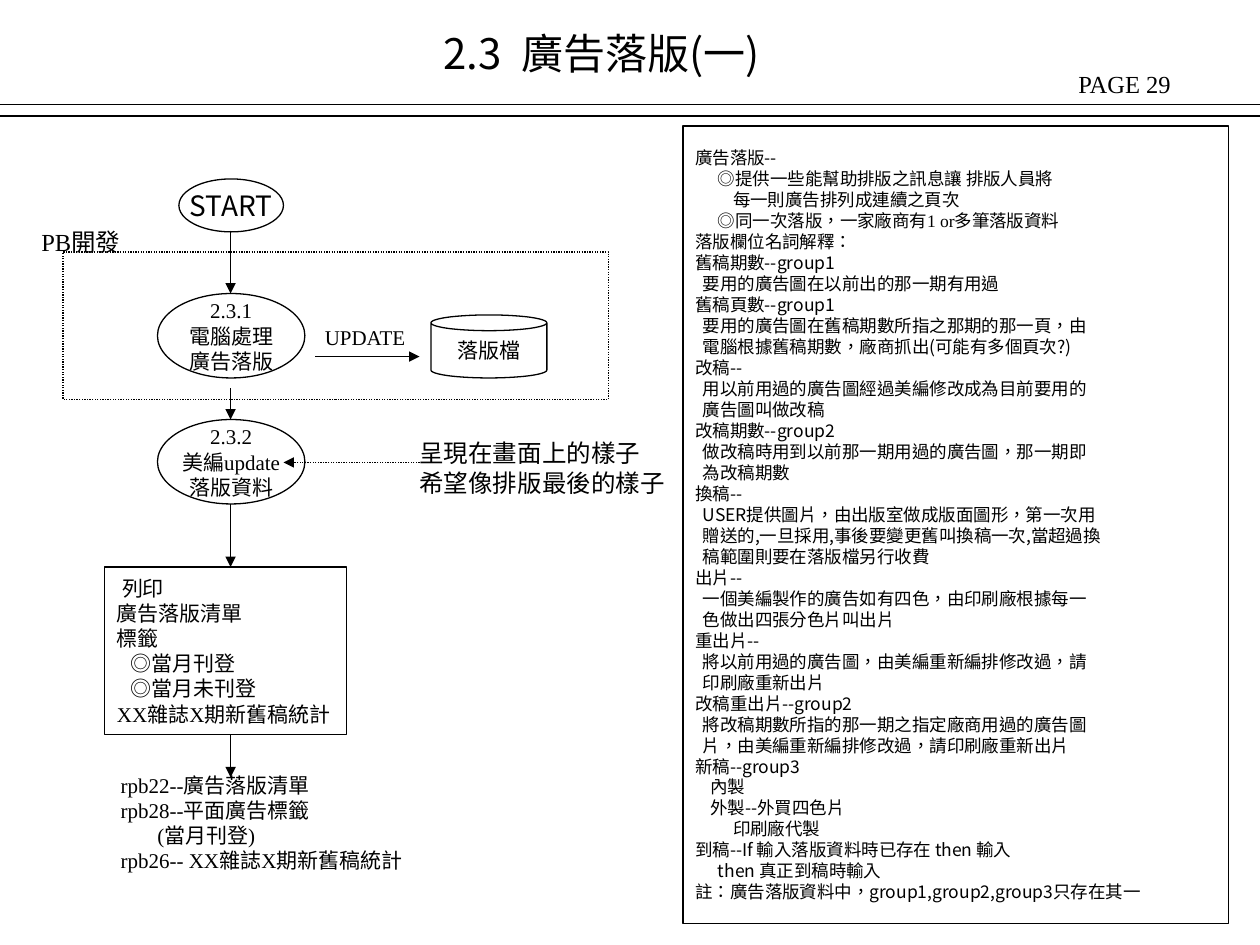
from lxml import etree
from pptx import Presentation
from pptx.dml.color import RGBColor
from pptx.enum.dml import MSO_LINE
from pptx.enum.shapes import MSO_CONNECTOR, MSO_SHAPE
from pptx.enum.text import MSO_ANCHOR, MSO_AUTO_SIZE, PP_ALIGN
from pptx.oxml.ns import qn
from pptx.util import Inches, Pt

SERIF, SANS = "Times New Roman", "Noto Sans CJK TC"
INK = RGBColor.from_string("000000")


def write(shape, lines, size, font=SERIF, align=PP_ALIGN.LEFT):
    """Each line is (indent in inches, text) or (indent, [(text, font), ...])."""
    frame = shape.text_frame
    frame.word_wrap = False
    for i, (indent, content) in enumerate(lines):
        para = frame.paragraphs[0] if i == 0 else frame.add_paragraph()
        para.alignment = align
        para.line_spacing = Pt(size * 1.2)
        ppr = para._p.get_or_add_pPr()
        ppr.set("marL", str(Inches(indent)))
        ppr.set("indent", "0")
        runs = [(content, font)] if isinstance(content, str) else content
        for text, face in runs:
            run = para.add_run()
            run.text = text
            run.font.size = Pt(size)
            run.font.color.rgb = INK
            run.font.name = face
            rpr = run._r.get_or_add_rPr()
            rpr.set("lang", "zh-TW")
            etree.SubElement(rpr, qn("a:ea"), typeface=SANS)


def outline(kind, box):
    shape = slide.shapes.add_shape(kind, *map(Inches, box))
    shape.shadow.inherit = False
    shape.fill.background()
    shape.line.color.rgb = INK
    shape.line.width = Pt(0.75)
    shape.text_frame.vertical_anchor = MSO_ANCHOR.MIDDLE
    return shape


prs = Presentation()
prs.slide_width, prs.slide_height = Inches(10), Inches(7.5)
slide = prs.slides.add_slide(prs.slide_layouts[6])

# Title, with a widened space between number and name
title = slide.shapes.add_textbox(*map(Inches, (3.42, 0.17, 3.33, 0.9)))
write(title, [(0, [("2.3", SANS), (" ", SANS), ("廣告落版(一)", SANS)])], 24)
title.text_frame.word_wrap = True
title_gap = title.text_frame.paragraphs[0].runs[1]
title_gap._r.get_or_add_rPr().set("spc", "600")

# Loose labels
labels = [
    ((8.46, 0.5, 1.57, 0.34), 14, [(0, "PAGE 29")]),
    ((0.23, 1.75, 1, 0.34), 14, [(0, "PB開發")]),
    ((2.48, 2.53, 0.86, 0.3), 12, [(0, "UPDATE")]),
    ((3.23, 3.43, 2.15, 0.57), 14,
     [(0, "呈現在畫面上的樣子"), (0, "希望像排版最後的樣子")]),
    ((0.86, 6.08, 2.7, 0.9), 12,
     [(0, [("rpb22--", SERIF), ("廣告落版清單", SANS)]),
      (0, "rpb28--平面廣告標籤"),
      (0.29, "(當月刊登)"),
      (0, "rpb26-- XX雜誌X期新舊稿統計")]),
]
for box, size, lines in labels:
    label = slide.shapes.add_textbox(*map(Inches, box))
    write(label, lines, size)
    label.text_frame.auto_size = MSO_AUTO_SIZE.SHAPE_TO_FIT_TEXT

# Flow steps
steps = [
    (MSO_SHAPE.OVAL, (1.42, 1.42, 0.83, 0.42), 16, SANS, ["START"]),
    (MSO_SHAPE.OVAL, (1.25, 2.33, 1.17, 0.67), 12, SERIF,
     ["2.3.1", "電腦處理", "廣告落版"]),
    (MSO_SHAPE.OVAL, (1.25, 3.33, 1.17, 0.67), 12, SERIF,
     ["2.3.2", "美編update", "落版資料"]),
    (MSO_SHAPE.CAN, (3.42, 2.5, 0.92, 0.5), 12, SERIF, ["落版檔"]),
]
for kind, box, size, font, texts in steps:
    step = outline(kind, box)
    write(step, [(0, text) for text in texts], size, font, PP_ALIGN.CENTER)

# Dotted frame around the PB part
pb_frame = outline(MSO_SHAPE.RECTANGLE, (0.5, 2, 4.33, 1.17))
pb_frame.line.dash_style = MSO_LINE.ROUND_DOT

# Print step
printing = outline(MSO_SHAPE.RECTANGLE, (0.83, 4.5, 1.92, 1.33))
write(printing, [
    (0.04, "列印"),
    (0, [("廣告落版清單", SANS)]),
    (0, "標籤"),
    (0.11, "◎當月刊登"),
    (0.11, "◎當月未刊登"),
    (0, "XX雜誌X期新舊稿統計"),
], 12)

# Glossary: indent level and text
glossary_lines = [
    (0, "廣告落版--"),
    (3, [("◎提供一些能幫助排版之訊息讓 排版人員將", SERIF)]),
    (5, [("每一則廣告排列成連續之頁次", SERIF)]),
    (3, [("◎同一次落版，一家廠商有1 or多筆", SERIF), ("落版資料", SANS)]),
    (0, "落版欄位名詞解釋："),
    (0, "舊稿期數--group1"),
    (1, "要用的廣告圖在以前出的那一期有用過"),
    (0, "舊稿頁數--group1"),
    (1, "要用的廣告圖在舊稿期數所指之那期的那一頁，由"),
    (1, "電腦根據舊稿期數，廠商抓出(可能有多個頁次?)"),
    (0, "改稿--"),
    (1, "用以前用過的廣告圖經過美編修改成為目前要用的"),
    (1, "廣告圖叫做改稿"),
    (0, "改稿期數--group2"),
    (1, "做改稿時用到以前那一期用過的廣告圖，那一期即"),
    (1, "為改稿期數"),
    (0, "換稿--"),
    (1, "USER提供圖片，由出版室做成版面圖形，第一次用"),
    (1, "贈送的,一旦採用,事後要變更舊叫換稿一次,當超過換"),
    (1, "稿範圍則要在落版檔另行收費"),
    (0, "出片--"),
    (1, "一個美編製作的廣告如有四色，由印刷廠根據每一"),
    (1, "色做出四張分色片叫出片"),
    (0, "重出片--"),
    (1, "將以前用過的廣告圖，由美編重新編排修改過，請"),
    (1, "印刷廠重新出片"),
    (0, "改稿重出片--group2"),
    (1, "將改稿期數所指的那一期之指定廠商用過的廣告圖"),
    (1, "片，由美編重新編排修改過，請印刷廠重新出片"),
    (0, "新稿--group3"),
    (2, "內製"),
    (2, "外製--外買四色片"),
    (5, "印刷廠代製"),
    (0, "到稿--If 輸入落版資料時已存在 then 輸入"),
    (3, "then 真正到稿時輸入"),
    (0, "註：廣告落版資料中，group1,group2,group3只存在其一"),
]
glossary = outline(MSO_SHAPE.RECTANGLE, (5.42, 1, 4.33, 6.33))
write(glossary, [(level * 0.06, text) for level, text in glossary_lines], 10, SANS)

# Header rules and flow arrows: ends, arrowhead, dotted
connections = [
    ((0, 0.83, 10, 0.83), False, False),
    ((0, 0.92, 10, 0.92), False, False),
    ((1.83, 1.83, 1.83, 2.33), True, False),
    ((2.5, 2.83, 3.33, 2.83), True, False),
    ((1.83, 3.08, 1.83, 3.33), True, False),
    ((3.33, 3.67, 2.25, 3.67), True, True),
    ((1.83, 4, 1.83, 4.5), True, False),
    ((1.83, 5.83, 1.83, 6.17), True, False),
]
for ends, arrow, dotted in connections:
    connector = slide.shapes.add_connector(MSO_CONNECTOR.STRAIGHT, *map(Inches, ends))
    connector.line.color.rgb = INK
    connector.line.width = Pt(0.75)
    if dotted:
        connector.line.dash_style = MSO_LINE.ROUND_DOT
    if arrow:
        etree.SubElement(connector.line._get_or_add_ln(), qn("a:tailEnd"), type="triangle")
    etree.SubElement(connector._element.spPr, qn("a:effectLst"))

prs.save("out.pptx")
